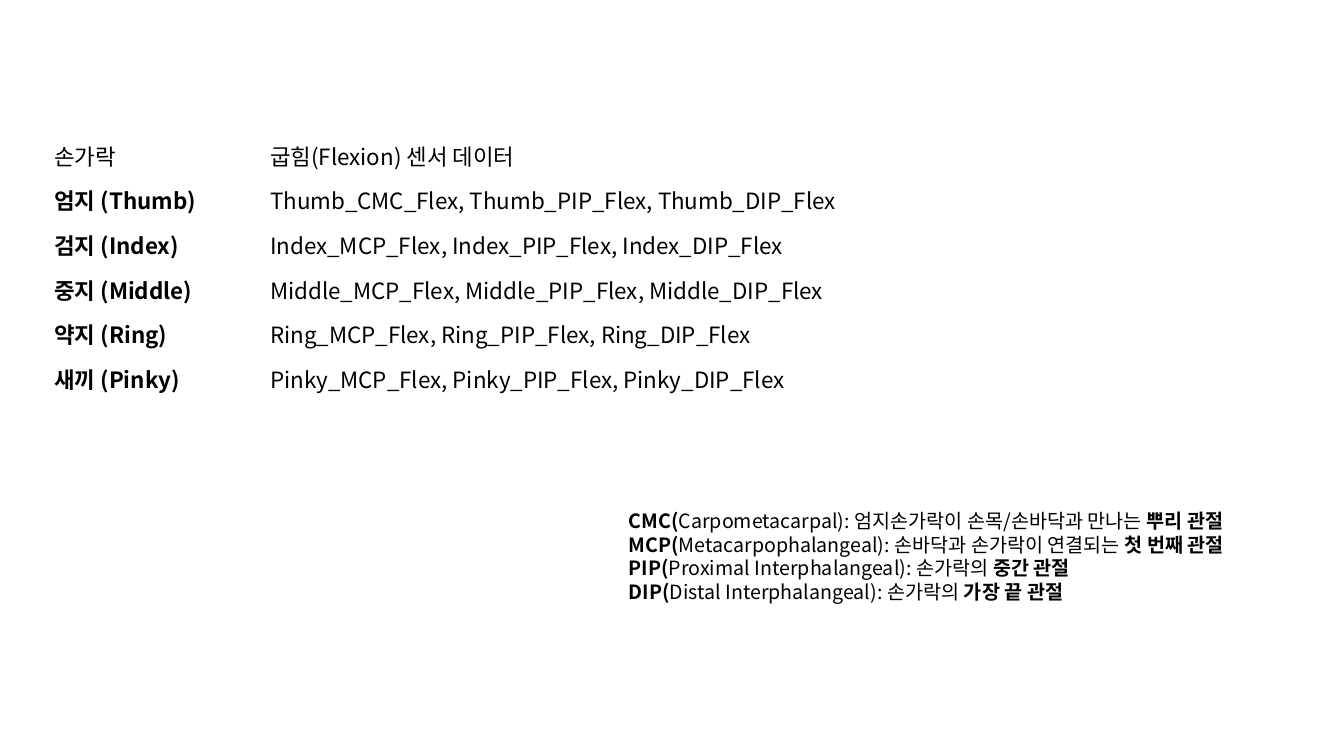
from typing import NamedTuple

from lxml.etree import SubElement
from pptx import Presentation
from pptx.dml.color import RGBColor
from pptx.enum.text import MSO_ANCHOR, MSO_AUTO_SIZE
from pptx.oxml.ns import qn
from pptx.util import Pt

FONT = "Noto Sans CJK KR"
BLACK = RGBColor(0x00, 0x00, 0x00)
HEADS = ("손가락", "굽힘(Flexion) 센서 데이터")
WIDTHS = (154.1, 470.2)
ROW_H = 31.92


class Finger(NamedTuple):
    label: str
    name: str
    base: str = "MCP"

    def sensors(self) -> str:
        joints = (self.base, "PIP", "DIP")
        return ", ".join(f"{self.name}_{joint}_Flex" for joint in joints)


class Joint(NamedTuple):
    code: str
    term: str
    place: str
    key: str


FINGERS = (
    Finger("엄지", "Thumb", "CMC"),
    Finger("검지", "Index"),
    Finger("중지", "Middle"),
    Finger("약지", "Ring"),
    Finger("새끼", "Pinky"),
)
JOINTS = (
    Joint("CMC", "Carpometacarpal", "엄지손가락이 손목/손바닥과 만나는", "뿌리 관절"),
    Joint("MCP", "Metacarpophalangeal", "손바닥과 손가락이 연결되는", "첫 번째 관절"),
    Joint("PIP", "Proximal Interphalangeal", "손가락의", "중간 관절"),
    Joint("DIP", "Distal Interphalangeal", "손가락의", "가장 끝 관절"),
)


def style(para, size: float, bold: bool = False) -> None:
    """Set the paragraph font for Latin and Korean script."""
    font = para.font
    font.size, font.bold, font.name = Pt(size), bold, FONT
    font.color.rgb = BLACK
    props = para._p.pPr.find(qn("a:defRPr"))
    SubElement(props, qn("a:ea"), typeface=FONT)


def add_grid(slide) -> None:
    rows = [HEADS] + [(f"{f.label} ({f.name})", f.sensors()) for f in FINGERS]
    table = slide.shapes.add_table(
        len(rows), len(WIDTHS), Pt(31.7), Pt(95),
        Pt(sum(WIDTHS)), Pt(ROW_H * len(rows))).table
    table.first_row = table.horz_banding = False
    for col, width in zip(table.columns, WIDTHS):
        col.width = Pt(width)
    for r, texts in enumerate(rows):
        for c, text in enumerate(texts):
            cell = table.cell(r, c)
            cell.fill.background()
            cell.vertical_anchor = MSO_ANCHOR.MIDDLE
            cell.text = text
            style(cell.text_frame.paragraphs[0], 16, r > 0 and c == 0)


def add_terms(slide) -> None:
    box = slide.shapes.add_textbox(Pt(442), Pt(360), Pt(467.3), Pt(74.9))
    frame = box.text_frame
    frame.word_wrap = False
    frame.auto_size = MSO_AUTO_SIZE.SHAPE_TO_FIT_TEXT
    for i, joint in enumerate(JOINTS):
        para = frame.add_paragraph() if i else frame.paragraphs[0]
        style(para, 14)
        parts = (f"{joint.code}(", f"{joint.term}): {joint.place} ", joint.key)
        for part, bold in zip(parts, (True, False, True)):
            run = para.add_run()
            run.text = part
            run.font.bold = bold


def main() -> None:
    deck = Presentation()
    deck.slide_width, deck.slide_height = Pt(960), Pt(540)
    slide = deck.slides.add_slide(deck.slide_layouts[6])
    add_grid(slide)
    add_terms(slide)
    deck.save("out.pptx")


if __name__ == "__main__":
    main()
